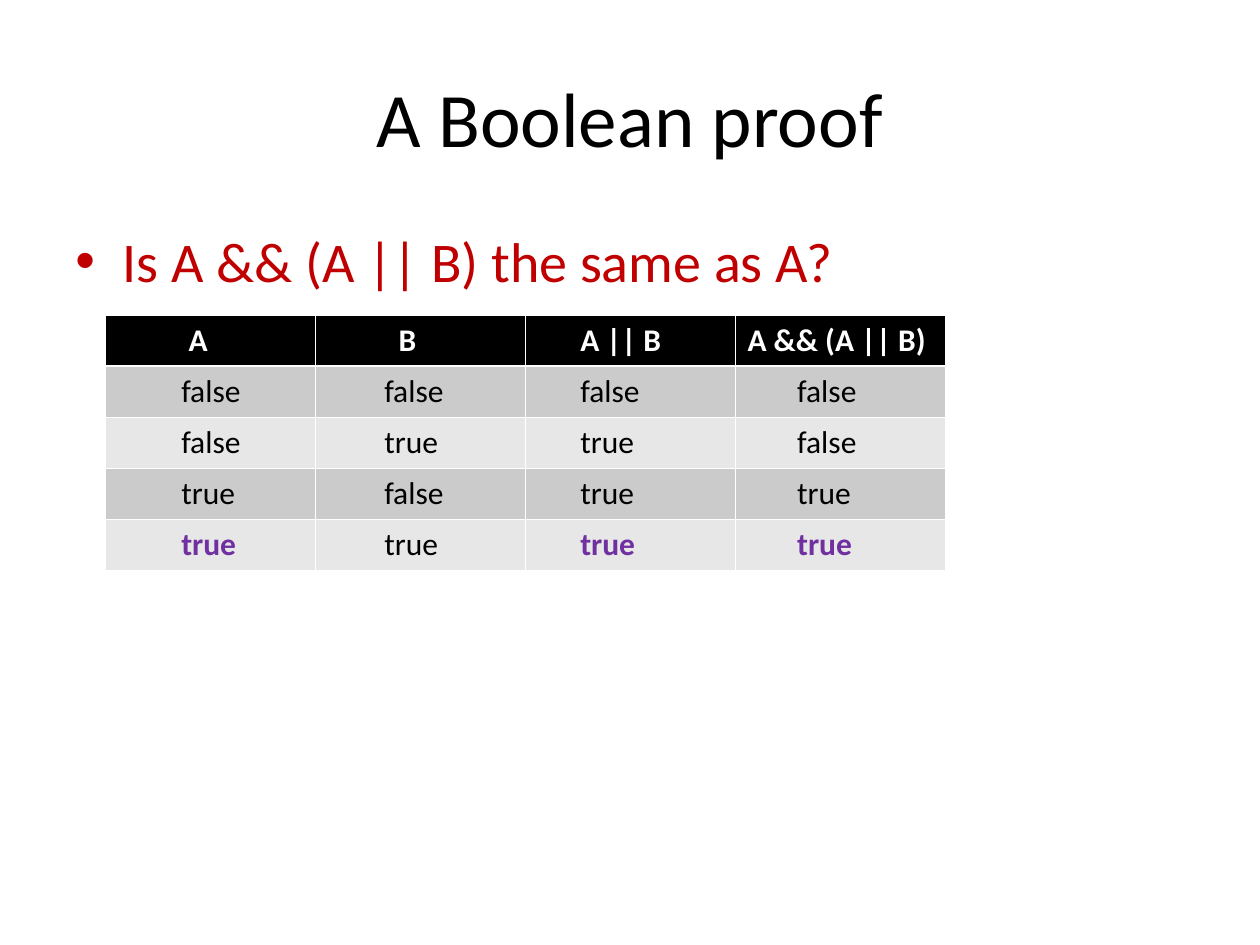
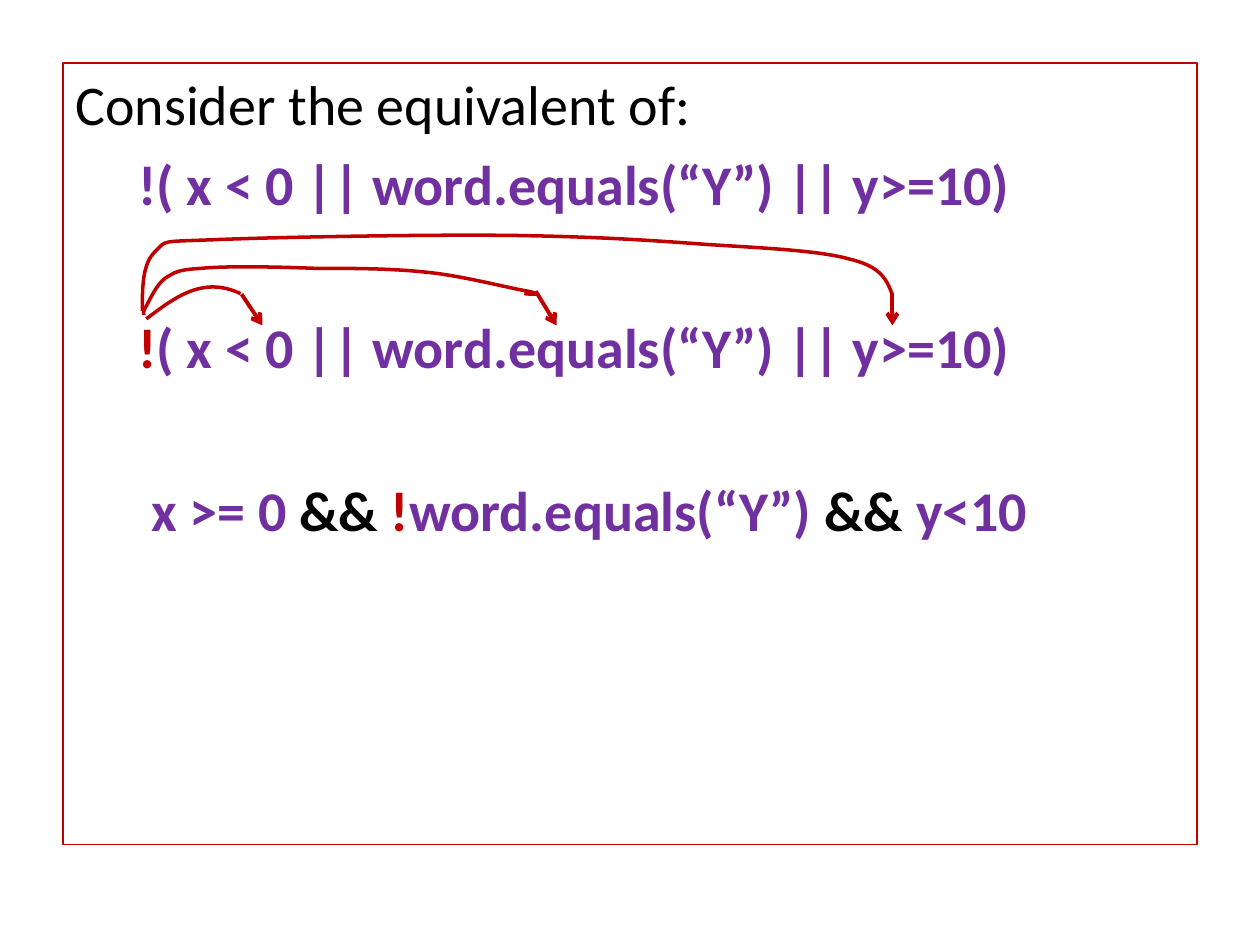
"""Builds two slides on Boolean logic: a truth table and a negated condition."""
from dataclasses import dataclass

from lxml.etree import SubElement
from pptx import Presentation
from pptx.dml.color import RGBColor
from pptx.enum.shapes import MSO_CONNECTOR as Link, MSO_SHAPE as Preset
from pptx.enum.text import MSO_ANCHOR as Anchor, PP_ALIGN as Align
from pptx.oxml.ns import qn
from pptx.util import Cm, Pt

FONT = "Calibri"
BLACK, WHITE, RED, PURPLE = "000000", "FFFFFF", "C00000", "7030A0"
BANDS = ("CBCBCB", "E7E7E7")
TITLE_SIZE, BODY_SIZE, TABLE_SIZE = 44, 32, 18
LINE_GAP, BLOCK_GAP = 7.7, 54.7

Point = tuple[float, float]


@dataclass(frozen=True)
class Span:
    text: str
    color: str = PURPLE
    bold: bool = True


@dataclass(frozen=True)
class Line:
    spans: tuple[Span, ...]
    indent: float = 0
    gap: float = LINE_GAP


@dataclass(frozen=True)
class Column:
    heading: str
    heading_indent: float
    value_indent: float
    values: tuple[str, ...]
    marked: bool = True


@dataclass(frozen=True)
class Reach:
    curve: tuple[Point, ...]
    arrow: tuple[Point, Point]


COLUMNS = (
    Column("A", 1.43, 1.28, ("false", "false", "true", "true")),
    Column("B", 1.43, 1.14, ("false", "true", "false", "true"), marked=False),
    Column("A || B", 0.86, 0.86, ("false", "true", "true", "true")),
    Column("A && (A || B)", 0, 1, ("false", "false", "true", "true")),
)

CONDITION = "( x < 0 || word.equals(“Y”) || y>=10)"
LINES = (
    Line((Span("Consider the equivalent of:", BLACK, False),)),
    Line((Span("!" + CONDITION),), 1.27),
    Line((Span("!", RED), Span(CONDITION)), 1.27, BLOCK_GAP),
    Line((Span("x >= 0 "), Span("&& ", BLACK), Span("!", RED),
          Span("word.equals(“Y”) "), Span("&&", BLACK), Span(" y<10")),
         1.53, BLOCK_GAP),
)

REACHES = (
    Reach(((2.95, 6.43), (3.53, 5.99), (4.09, 5.56), (4.85, 5.92)),
          ((4.87, 5.93), (5.29, 6.56))),
    Reach(((2.9, 6.35), (2.9, 6.32), (2.87, 6.3), (2.95, 6.17),
           (3.02, 6.05), (3.15, 5.74), (3.33, 5.61),
           (3.53, 5.49), (3.56, 5.44), (4.06, 5.41),
           (4.57, 5.36), (5.59, 5.38), (6.35, 5.41),
           (7.11, 5.41), (7.87, 5.41), (8.61, 5.49),
           (9.32, 5.56), (10.31, 5.82), (10.64, 5.87),
           (10.95, 5.94), (10.77, 5.94), (10.57, 5.92)),
          ((10.8, 5.87), (11.22, 6.56))),
    Reach(((2.87, 6.27), (2.87, 5.79), (2.87, 5.33), (3.12, 5.08),
           (3.38, 4.83), (3.18, 4.88), (4.39, 4.83),
           (5.64, 4.78), (8.89, 4.72), (10.54, 4.75),
           (12.19, 4.78), (13.16, 4.85), (14.27, 4.93),
           (15.37, 5), (16.54, 5.05), (17.15, 5.23),
           (17.78, 5.38), (17.88, 5.66), (17.99, 5.94)),
          ((17.99, 5.93), (17.99, 6.56))),
)


def rgb(color: str) -> RGBColor:
    """Turn a hex string into a colour."""
    return RGBColor.from_string(color)


def assign(target, values: dict) -> None:
    """Set each named attribute of the target."""
    for name, value in values.items():
        setattr(target, name, value)


def write(para, span: Span, size: float) -> None:
    """Append one formatted run to a paragraph."""
    run = para.add_run()
    run.text = span.text
    assign(run.font, {"name": FONT, "size": Pt(size), "bold": span.bold})
    run.font.color.rgb = rgb(span.color)


def indent(para, left: float, first: float = 0):
    """Set the paragraph margins and return its properties."""
    props = para._p.get_or_add_pPr()
    props.set("marL", str(Cm(left)))
    props.set("indent", str(Cm(first)))
    return props


def stroke(shape, color: str, width: float) -> None:
    """Give a shape or connector a solid line."""
    shape.line.color.rgb = rgb(color)
    shape.line.width = Pt(width)


def add_title(page, text: str) -> None:
    """Place and fill the title placeholder."""
    title = page.shapes.title
    assign(title, {"left": Cm(1.27), "top": Cm(0.76),
                   "width": Cm(22.86), "height": Cm(3.18)})
    title.text_frame.vertical_anchor = Anchor.MIDDLE
    para = title.text_frame.paragraphs[0]
    para.alignment = Align.CENTER
    write(para, Span(text, BLACK, False), TITLE_SIZE)


def add_bullet(page, text: str) -> None:
    """Add the red bulleted question."""
    box = page.shapes.add_textbox(Cm(1.27), Cm(4.45), Cm(22.86), Cm(12.57))
    box.text_frame.word_wrap = True
    para = box.text_frame.paragraphs[0]
    para.space_before = Pt(LINE_GAP)
    props = indent(para, 0.95, -0.95)
    SubElement(SubElement(props, qn("a:buClr")), qn("a:srgbClr"), val=RED)
    SubElement(props, qn("a:buFont"), typeface="Arial")
    SubElement(props, qn("a:buChar"), char="•")
    write(para, Span(text, RED, False), BODY_SIZE)


def add_borders(cell, top: float, bottom: float) -> None:
    """Draw white borders around a cell."""
    props = cell._tc.get_or_add_tcPr()
    for side, width in {"L": 0.45, "R": 0.45, "T": top, "B": bottom}.items():
        edge = SubElement(props, qn(f"a:ln{side}"), w=str(Pt(width)))
        fill = SubElement(edge, qn("a:solidFill"))
        SubElement(fill, qn("a:srgbClr"), val=WHITE)


def fill_cell(cell, span: Span, left: float, color: str, row: int) -> None:
    """Format one table cell and write its text."""
    add_borders(cell, 1.47 if row == 1 else 0.45, 1.47 if row == 0 else 0.45)
    cell.fill.solid()
    cell.fill.fore_color.rgb = rgb(color)
    para = cell.text_frame.paragraphs[0]
    indent(para, left)
    write(para, span, TABLE_SIZE)


def add_truth_table(page, columns: tuple[Column, ...]) -> None:
    """Add the truth table, with its last row marked."""
    count = len(columns[0].values) + 1
    table = page.shapes.add_table(count, len(columns), Cm(2.12), Cm(6.35),
                                  Cm(16.93), Cm(1.03 * count)).table
    for index, column in enumerate(columns):
        fill_cell(table.cell(0, index), Span(column.heading, WHITE),
                  column.heading_indent, BLACK, 0)
        for row, value in enumerate(column.values, 1):
            marked = column.marked and row == count - 1
            span = Span(value, PURPLE if marked else BLACK, marked)
            fill_cell(table.cell(row, index), span, column.value_indent,
                      BANDS[(row - 1) % 2], row)


def add_panel(page, lines: tuple[Line, ...]) -> None:
    """Add the outlined panel with the conditions."""
    panel = page.shapes.add_shape(Preset.RECTANGLE, Cm(1.27), Cm(1.27),
                                  Cm(22.86), Cm(15.75))
    panel.shadow.inherit = False
    panel.fill.background()
    stroke(panel, RED, 0.75)
    frame = panel.text_frame
    assign(frame, {"word_wrap": True, "vertical_anchor": Anchor.TOP})
    for index, line in enumerate(lines):
        para = frame.add_paragraph() if index else frame.paragraphs[0]
        assign(para, {"alignment": Align.LEFT, "space_before": Pt(line.gap)})
        indent(para, line.indent)
        for span in line.spans:
            write(para, span, BODY_SIZE)


def add_curve(page, knots: tuple[Point, ...]) -> None:
    """Draw joined cubic curves as one open outline."""
    points = [(Cm(x), Cm(y)) for x, y in knots]
    builder = page.shapes.build_freeform(*points[0])
    builder.add_line_segments(points[3::3], close=False)
    curve = builder.convert_to_shape()
    segments = list(curve.element.iter(qn("a:lnTo")))
    for index, segment in enumerate(segments):
        segment.tag = qn("a:cubicBezTo")
        handles = points[3 * index + 1:3 * index + 3]
        for place, (x, y) in enumerate(handles):
            handle = SubElement(segment, qn("a:pt"), x=str(x - curve.left),
                                y=str(y - curve.top))
            segment.insert(place, handle)
    curve.shadow.inherit = False
    curve.fill.background()
    stroke(curve, RED, 2)


def add_arrow(page, start: Point, end: Point) -> None:
    """Draw a straight red arrow."""
    ends = [Cm(value) for value in (*start, *end)]
    arrow = page.shapes.add_connector(Link.STRAIGHT, *ends)
    stroke(arrow, RED, 2.25)
    props = arrow.element.spPr
    SubElement(props.find(qn("a:ln")), qn("a:tailEnd"), type="arrow")
    SubElement(props, qn("a:effectLst"))


def build() -> None:
    """Build and save the deck."""
    deck = Presentation()
    assign(deck, {"slide_width": Cm(25.4), "slide_height": Cm(19.05)})
    title_only, blank = deck.slide_layouts[5], deck.slide_layouts[6]

    page = deck.slides.add_slide(title_only)
    add_title(page, "A Boolean proof")
    add_bullet(page, "Is A && (A || B) the same as A?")
    add_truth_table(page, COLUMNS)

    page = deck.slides.add_slide(blank)
    add_panel(page, LINES)
    for reach in REACHES:
        add_arrow(page, *reach.arrow)
    for reach in REACHES:
        add_curve(page, reach.curve)

    deck.save("out.pptx")


build()
